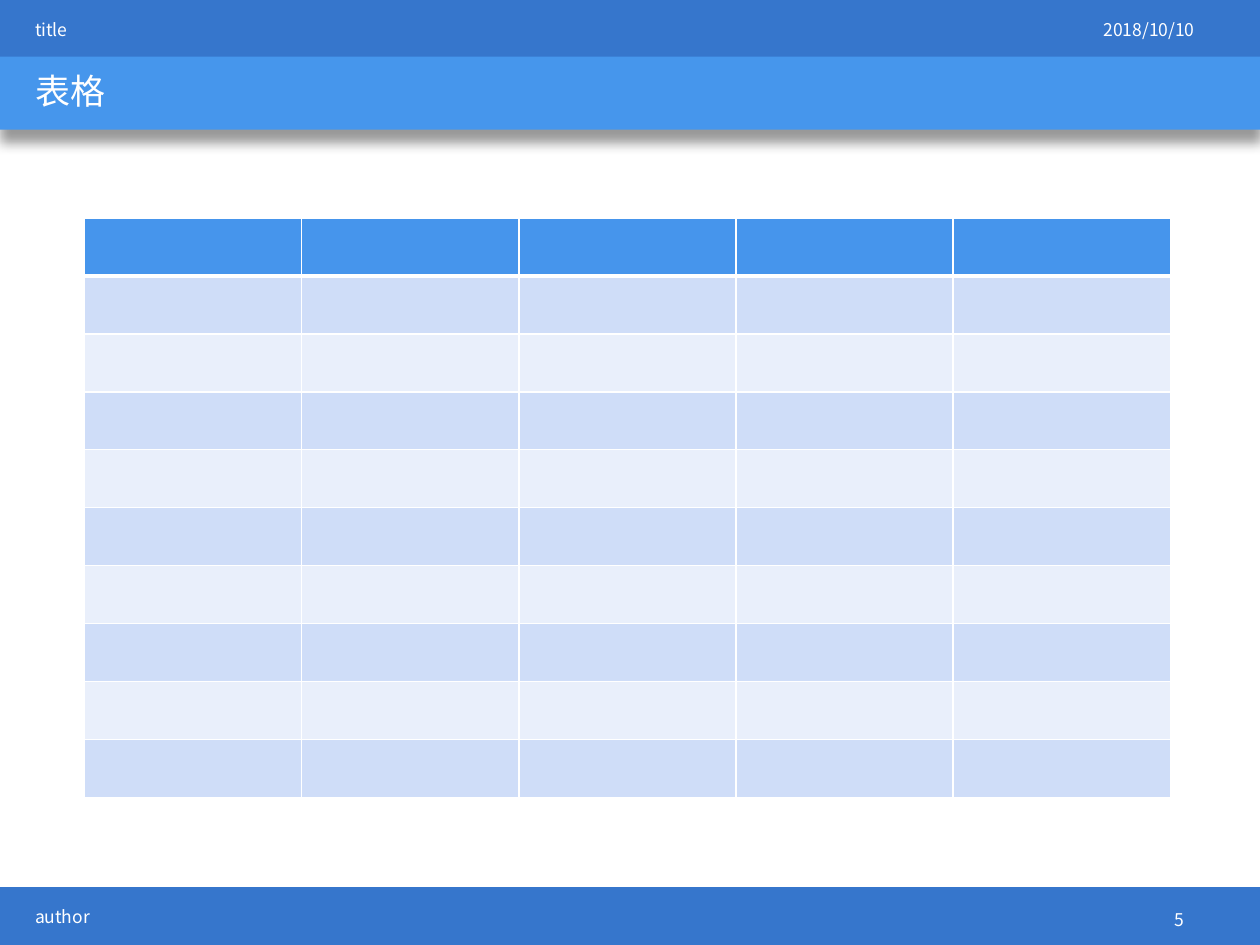
from lxml.etree import SubElement
from pptx import Presentation
from pptx.dml.color import RGBColor
from pptx.enum.shapes import MSO_SHAPE as Shape
from pptx.enum.text import MSO_ANCHOR as Anchor, PP_ALIGN as Align
from pptx.oxml import parse_xml
from pptx.oxml.ns import nsdecls, qn
from pptx.util import Inches, Pt

WHITE = RGBColor(0xFF, 0xFF, 0xFF)
DARK_BLUE = RGBColor(0x36, 0x76, 0xCC)
BRIGHT_BLUE = RGBColor(0x46, 0x96, 0xEC)
HEADER_BLUE = RGBColor(0x46, 0x95, 0xEC)
ROW_TINTS = (RGBColor(0xE9, 0xEF, 0xFB), RGBColor(0xCF, 0xDD, 0xF8))
LABEL_FONT = "Noto Sans CJK JP"
TITLE_FONT = "Noto Sans CJK SC"
WIDTH, HEIGHT = 10, 7.5
BAND_HEIGHT = 0.46
LABEL_HEIGHT = 0.35
MARGIN = 0.18
COLUMNS, ROWS = 5, 10


def write_text(shape, text, size=10, font=LABEL_FONT, line_spacing=None):
    frame = shape.text_frame
    frame.word_wrap = True
    frame.vertical_anchor = Anchor.MIDDLE
    paragraph = frame.paragraphs[0]
    paragraph.alignment = Align.LEFT
    paragraph.line_spacing = line_spacing
    run = paragraph.add_run()
    run.text = text
    run.font.size = Pt(size)
    run.font.name = font
    run.font.color.rgb = WHITE
    SubElement(run.font._element, qn("a:ea"), typeface=font)


def add_label(slide, text, left, top, width):
    box = slide.shapes.add_textbox(*map(Inches, (left, top, width, LABEL_HEIGHT)))
    write_text(box, text)


def add_shadow(shape, blur, distance):
    shape._element.spPr.append(parse_xml(
        f'<a:effectLst {nsdecls("a")}><a:outerShdw blurRad="{Pt(blur)}" '
        f'dist="{Pt(distance)}" dir="5400000" algn="t" rotWithShape="0">'
        '<a:srgbClr val="000000"><a:alpha val="40000"/></a:srgbClr>'
        '</a:outerShdw></a:effectLst>'))


def add_band(slide, top, height, color, shadow=None):
    band = slide.shapes.add_shape(
        Shape.RECTANGLE, 0, Inches(top), Inches(WIDTH), Inches(height))
    band.fill.solid()
    band.fill.fore_color.rgb = color
    band.line.fill.background()
    if shadow:
        add_shadow(band, *shadow)
    else:
        band.shadow.inherit = False


def add_header(slide, top):
    add_band(slide, top, BAND_HEIGHT, DARK_BLUE, shadow=(7, 6))
    label_top = top + 0.06
    add_label(slide, "title", MARGIN, label_top, 1.77)
    add_label(slide, "2018/10/10", 8.66, label_top, 1.15)


def add_footer(slide, top):
    add_band(slide, top, BAND_HEIGHT, DARK_BLUE)
    add_label(slide, "author", MARGIN, top + 0.06, 1.97)
    add_label(slide, "5", 9.22, top + 0.08, 0.6)


def add_title(slide, top, height):
    add_band(slide, top, height, BRIGHT_BLUE, shadow=(7, 7))
    title = slide.shapes.title
    title_height = 0.92
    title_top = top + (height - title_height) / 2
    title.left, title.top, title.width, title.height = map(
        Inches, (MARGIN, title_top, 8.62, title_height))
    write_text(title, "表格", size=20, font=TITLE_FONT, line_spacing=0.9)
    slide.shapes._spTree.append(title._element)


def set_borders(cell, **widths):
    properties = cell._tc.get_or_add_tcPr()
    for index, (side, width) in enumerate(widths.items()):
        properties.insert(index, parse_xml(
            f'<a:{side} {nsdecls("a")} w="{Pt(width)}"><a:solidFill>'
            f'<a:srgbClr val="{WHITE}"/></a:solidFill></a:{side}>'))


def add_grid(slide, left, top, width, height):
    table = slide.shapes.add_table(
        ROWS, COLUMNS, *map(Inches, (left, top, width, height))).table
    for row_index, row in enumerate(table.rows):
        is_header = row_index == 0
        for cell in row.cells:
            cell.fill.solid()
            cell.fill.fore_color.rgb = (
                HEADER_BLUE if is_header else ROW_TINTS[row_index % 2])
            set_borders(cell, lnL=1, lnR=1, lnT=3 if row_index == 1 else 1,
                        lnB=3 if is_header else 1)


def main():
    presentation = Presentation()
    presentation.slide_width = Inches(WIDTH)
    presentation.slide_height = Inches(HEIGHT)
    slide = presentation.slides.add_slide(presentation.slide_layouts[5])
    add_header(slide, top=0)
    add_footer(slide, top=HEIGHT - BAND_HEIGHT)
    add_title(slide, top=0.45, height=0.58)
    add_grid(slide, left=0.67, top=1.73, width=8.62, height=ROWS * 0.46)
    presentation.save("out.pptx")


if __name__ == "__main__":
    main()
